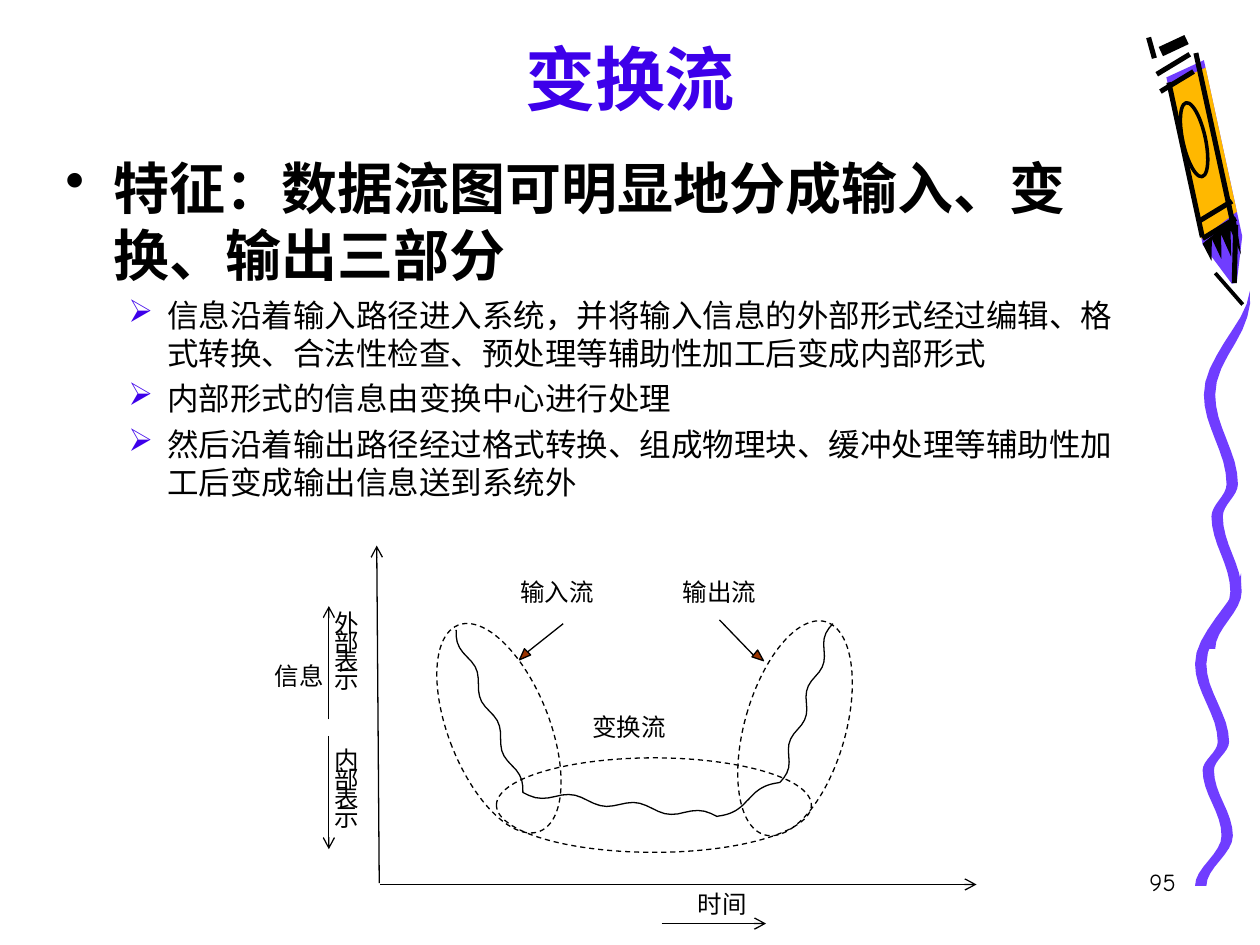
from math import cos, hypot, pi, radians, sin

from lxml import etree
from pptx import Presentation, util as u
from pptx.dml.color import RGBColor
from pptx.enum import dml, shapes, text
from pptx.oxml.ns import qn

CELL = u.Inches(0.01)  # the slide is a grid of 1000 columns by 750 rows
FINE = 10              # outlines are rounded to a tenth of a cell
BLACK = RGBColor(0, 0, 0)
BLUE = RGBColor(0x3D, 0x00, 0xEA)
VIOLET = RGBColor(0x70, 0x3D, 0xFF)
GOLD = RGBColor(0xFF, 0xB8, 0x00)
BROWN = RGBColor(0x99, 0x33, 0x00)
COMIC, TIMES = "Comic Neue", "Times New Roman"
KINDS, ALIGN = shapes.MSO_SHAPE, text.PP_ALIGN


def cells(*counts):
    return [CELL * n for n in counts]


def style(font, face, size, color=BLACK, bold=False):
    font.name, font.size, font.bold = face, u.Pt(size), bold
    font.color.rgb = color


def paint(shape, fill=None, line=None, width=0.75):
    shape.shadow.inherit = False
    for part, color in ((shape.fill, fill), (shape.line.fill, line)):
        if color is None:
            part.background()
        else:
            part.solid()
            part.fore_color.rgb = color
    if line is not None:
        shape.line.width = u.Pt(width)


def outline(slide, pts, close=True):
    pts = [(round(x * FINE), round(y * FINE)) for x, y in pts]
    pen = slide.shapes.build_freeform(*pts[0], scale=CELL / FINE)
    pen.add_line_segments(pts[1:], close=close)
    return pen.convert_to_shape()


def rule(slide, x1, y1, x2, y2, arrow=False):
    line = slide.shapes.add_connector(
        shapes.MSO_CONNECTOR.STRAIGHT, *cells(x1, y1, x2, y2))
    line.line.color.rgb = BLACK
    line.line.width = u.Pt(0.75)
    props = line.element.spPr
    if arrow:
        etree.SubElement(props.find(qn("a:ln")), qn("a:tailEnd"), type="arrow")
    etree.SubElement(props, qn("a:effectLst"))


def label(slide, box, words, align=ALIGN.JUSTIFY, face=TIMES, gap=None):
    frame = slide.shapes.add_textbox(*cells(*box)).text_frame
    frame.word_wrap = True
    frame.text = words
    for para in frame.paragraphs:
        para.alignment, para.line_spacing = align, gap
        style(para.runs[0].font, face, 14)


def heading(slide, box):
    title = slide.shapes.title
    title.left, title.top, title.width, title.height = cells(*box)
    frame = title.text_frame
    frame.text = "变换流"
    frame.auto_size = text.MSO_AUTO_SIZE.NONE
    frame.vertical_anchor = text.MSO_ANCHOR.BOTTOM
    frame.paragraphs[0].alignment = ALIGN.CENTER
    style(frame.paragraphs[0].runs[0].font, COMIC, 40, BLUE, True)


def bullet(para, left, hang, mark, color):
    props = para._p.get_or_add_pPr()
    props.set("marL", str(u.Inches(left)))
    props.set("indent", str(-u.Inches(hang)))
    tint = etree.SubElement(props, qn("a:buClr"))
    etree.SubElement(tint, qn("a:srgbClr"), val=str(color))
    etree.SubElement(props, qn("a:buChar"), char=mark)


def points(slide, box):
    frame = slide.shapes.add_textbox(*cells(*box)).text_frame
    frame.word_wrap = True
    frame.text = "\n".join([
        "特征：数据流图可明显地分成输入、变换、输出三部分",
        "信息沿着输入路径进入系统，并将输入信息的外部形式经过编辑、格式转换、"
        "合法性检查、预处理等辅助性加工后变成内部形式",
        "内部形式的信息由变换中心进行处理",
        "然后沿着输出路径经过格式转换、组成物理块、缓冲处理等辅助性加工后"
        "变成输出信息送到系统外"])
    lead, *rest = frame.paragraphs
    bullet(lead, 0.38, 0.38, "•", BLACK)
    style(lead.runs[0].font, COMIC, 32, bold=True)
    for para in rest:
        bullet(para, 0.81, 0.31, "➢", BLUE)
        para.level, para.space_before = 1, u.Pt(4.5)
        style(para.runs[0].font, COMIC, 18)


def ribbon(slide, x, y, tall):
    """Wavy band: its middle eases from turn to turn, its width grows from a point."""
    turns = [(36, 0), (4, 0.29), (22, 0.54), (10, 0.63), (25, 0.84), (4, 1)]
    steps, half = 8, 4.5
    mid = []
    for (x1, y1), (x2, y2) in zip(turns, turns[1:]):
        for i in range(steps + 1):
            t = i / steps
            mid.append((x1 + (x2 - x1) * (1 - cos(pi * t)) / 2, y1 + (y2 - y1) * t))

    def side(sign):
        return [(x + a + sign * half * min(1, b * 8), y + b * tall) for a, b in mid]

    paint(outline(slide, side(-1) + side(1)[::-1]), VIOLET)


def crayon(slide, x, y, tilt=12.25):
    """Crayon in its own axes: across and along, from the middle of the barrel's top."""
    c, s = cos(radians(tilt)), sin(radians(tilt))
    half, barrel, slant = 16, 123, 10

    def turn(a, b):
        return x + a * c + b * s, y - a * s + b * c

    def patch(color, pts):
        paint(outline(slide, [turn(*p) for p in pts]), color)

    def stroke(a1, b1, a2, b2, thick=4):
        k = thick / 2 / hypot(a2 - a1, b2 - b1)
        da, db = (b1 - b2) * k, (a2 - a1) * k
        patch(BLACK, [(a1 + da, b1 + db), (a2 + da, b2 + db),
                      (a2 - da, b2 - db), (a1 - da, b1 - db)])

    patch(VIOLET, [(-half, -3), (half, -10), (half, barrel + 10), (4, 168),
                   (0, 168), (-half, barrel + 10)])
    patch(GOLD, [(-half, 3), (half, -4), (half, barrel - slant), (-half, barrel + 5)])
    for a in (-half + 1, half - 5):
        stroke(a, 2 - (a + half) * 0.7, a, barrel + 4)
    for shift, b in ((-8, -17), (-8, -3), (0, 104), (0, 118)):
        stroke(shift - half + 1, b + slant, shift + half - 2, b)
    teeth = [(-half + 4 * i, barrel + (24 if i % 2 else 9 - i)) for i in range(8)]
    patch(BLACK, [(half - 2, barrel - 6)] + teeth[::-1])
    stroke(half - 3, barrel, 2, 168)       # edge of the cone
    stroke(-11, 157, 5, 186, 3)            # nib
    for end in ((-22, -20, 4), (6, -29, 8)):
        a, b, thick = end
        stroke(a - 1, b - 17, a, b, 4) if a < 0 else stroke(-16, -24, a, b, thick)
    wide, tall = 18, 60
    a, b = turn(-5, 50)
    ring = slide.shapes.add_shape(
        KINDS.OVAL, *cells(a - wide / 2, b - tall / 2, wide, tall))
    ring.rotation = -tilt
    paint(ring, line=BLACK, width=2)


def wave(slide, x, y):
    """Flow line: down, along the floor and up, each leg with its own ripples."""
    start, foot, dip, rise, end = (3, 5), (56, 134), (210, 153), (260, 126), (302, 0)
    legs = [(start, foot, 3), (foot, dip, 3), (dip, rise, 1), (rise, end, 3)]
    steps, swing = 30, 3
    pts = []
    for (x1, y1), (x2, y2), count in legs:
        dx, dy = x2 - x1, y2 - y1
        for i in range(steps + 1):
            t = i / steps
            off = swing * sin(2 * pi * count * t) / hypot(dx, dy)
            pts.append((x + x1 + dx * t - dy * off, y + y1 + dy * t + dx * off))
    paint(outline(slide, pts, close=False), line=BLACK)


def zone(slide, box, turn=0):
    oval = slide.shapes.add_shape(KINDS.OVAL, *cells(*box))
    oval.rotation = turn
    paint(oval, line=BLACK)
    oval.line.dash_style = dml.MSO_LINE.DASH


def pointer(slide, x1, y1, x2, y2, tip, turn):
    rule(slide, x1, y1, x2, y2)
    head = slide.shapes.add_shape(KINDS.ISOSCELES_TRIANGLE, *cells(*tip, 7, 9))
    head.rotation = turn
    paint(head, BROWN, BLACK)


def axes(slide, x, y):
    rule(slide, x + 102, y + 272, x + 575, y + 272, True)
    rule(slide, x + 101, y + 271, x + 99, y + 3, True)
    rule(slide, x + 325, y + 303, x + 408, y + 303, True)
    label(slide, (x + 344, y + 278, 90, 42), "时间", gap=0.64)
    label(slide, (x + 7, y + 97, 61, 97), "信息", ALIGN.CENTER, gap=0.64)
    for base, peak, top, tall, words in ((141, 51, 55, 124, "外部表示"),
                                         (154, 244, 164, 97, "内部表示")):
        rule(slide, x + 61, y + base, x + 61, y + peak, True)
        label(slide, (x + 56, y + top, 61, tall), "\n".join(words), gap=0.64)


def flows(slide, x, y):
    zone(slide, (x + 194, y + 171.5, 250, 75))
    for left, turn in ((156, -21.6), (391, 16)):
        zone(slide, (x + left, y + 60, 80, 176), turn)
    for left, top, words in ((260, 130, "变换流"), (203, 23, "输入流"), (332, 23, "输出流")):
        label(slide, (x + left, y + top, 109, 57), words)
    pointer(slide, x + 247, y + 65, x + 218, y + 88, (x + 212, y + 86), 225.2)
    pointer(slide, x + 371, y + 62, x + 399, y + 91, (x + 399, y + 87), 129.9)
    wave(slide, x + 159, y + 65)


def main():
    deck = Presentation()
    deck.slide_width, deck.slide_height = cells(1000, 750)
    slide = deck.slides.add_slide(deck.slide_layouts[5])
    ribbon(slide, 949, 455, 248)
    ribbon(slide, 956, 231, 284)
    crayon(slide, 942, 61)
    label(slide, (735, 683, 208, 50), "95", ALIGN.RIGHT, COMIC)
    heading(slide, (50, 17, 900, 83))
    points(slide, (42, 117, 855, 292))
    axes(slide, 200, 430)
    flows(slide, 200, 430)
    deck.save("out.pptx")


if __name__ == "__main__":
    main()
